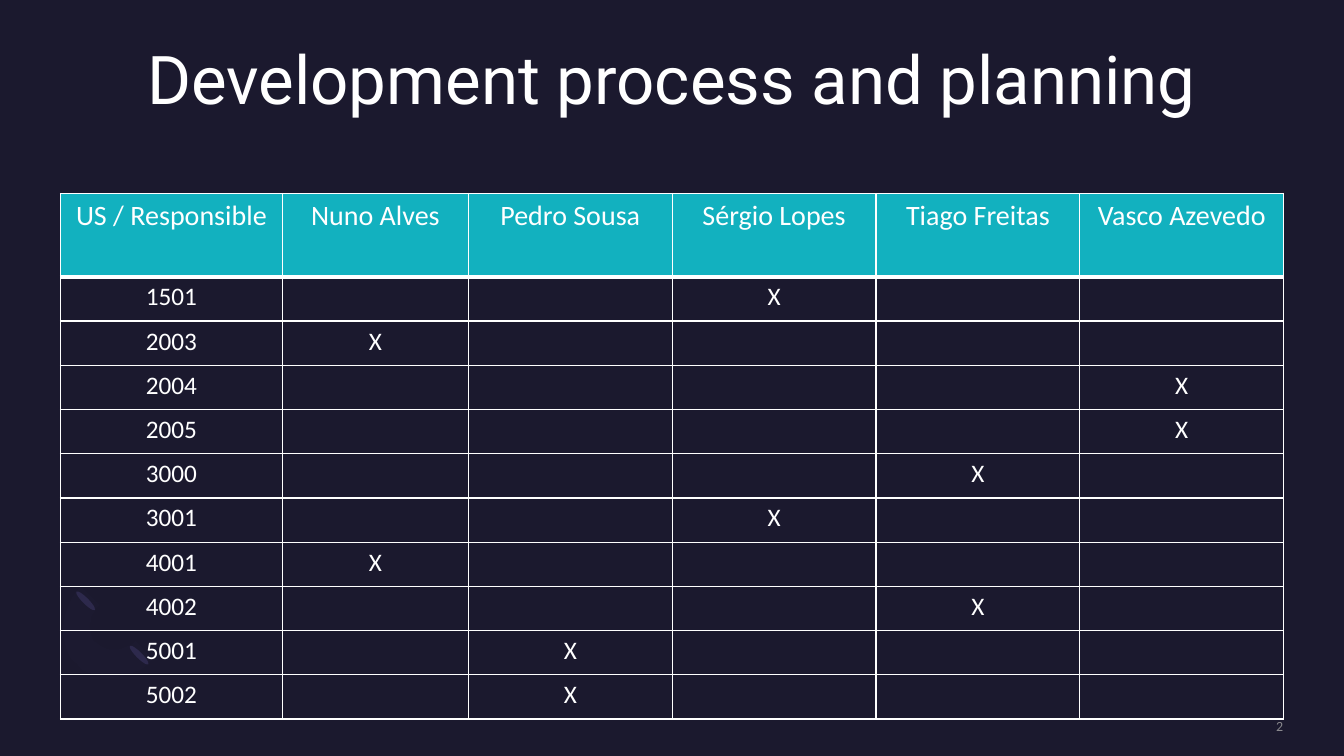
from pptx import Presentation
from pptx.dml.color import RGBColor
from pptx.enum.shapes import MSO_SHAPE as Shape
from pptx.enum.text import MSO_ANCHOR as Anchor, PP_ALIGN as Align
from pptx.oxml.ns import qn
from pptx.util import Pt
from lxml.etree import SubElement

NIGHT = RGBColor(0x1B, 0x19, 0x2E)
INDIGO = RGBColor(0x2C, 0x28, 0x4A)
VIOLET = RGBColor(0x77, 0x71, 0xB2)
TEAL = RGBColor(0x12, 0xB1, 0xBF)
WHITE = RGBColor(0xFF, 0xFF, 0xFF)
GREY = RGBColor(0xA6, 0xA6, 0xA6)

MEMBERS = ["Nuno Alves", "Pedro Sousa", "Sérgio Lopes", "Tiago Freitas", "Vasco Azevedo"]
# User story and the column of the member responsible for it
STORIES = [("1501", 3), ("2003", 1), ("2004", 5), ("2005", 5), ("3000", 4),
           ("3001", 3), ("4001", 1), ("4002", 4), ("5001", 2), ("5002", 2)]
COLUMN_WIDTHS = [158.6, 132.8] + [145.6] * 4
HEADER_HEIGHT, STORY_HEIGHT = 59.6, 31.6

# Ring outline in points: a corner is one point, a curve is three
RING_START = (54.7, 474.5)
RING = [
    [(40.3, 460.1), (41.8, 435.6), (58.3, 419)], [(71.3, 432)],
    [(62.6, 439.9), (61.9, 452.9), (69.1, 459.4)],
    [(76.3, 466.6), (88.6, 465.8), (97.2, 457.9)], [(109.4, 470.9)],
    [(93.6, 486.7), (68.4, 488.9), (54.7, 474.5)],
]


def set_alpha(fill, percent):
    color = next(fill.fore_color._xFill.iter(qn("a:srgbClr")))
    SubElement(color, qn("a:alpha"), val=str(percent * 1000))


def write(frame, text, font, size, color, align):
    para = frame.paragraphs[0]
    para.alignment = align
    span = para.add_run()
    span.text = text
    span.font.name = font
    span.font.size = Pt(size)
    span.font.color.rgb = color
    return para


def add_text(page, left, top, width, height, anchor, *style):
    box = page.shapes.add_textbox(Pt(left), Pt(top), Pt(width), Pt(height))
    frame = box.text_frame
    frame.word_wrap = True
    frame.vertical_anchor = anchor
    frame.margin_left = frame.margin_top = frame.margin_right = frame.margin_bottom = 0
    return write(frame, *style)


def paint(shape, color):
    shape.shadow.inherit = False
    shape.fill.solid()
    shape.fill.fore_color.rgb = color
    shape.line.fill.background()


def add_petal(page, left, top):
    petal = page.shapes.add_shape(Shape.OVAL, Pt(left), Pt(top), Pt(4.3), Pt(18.7))
    petal.rotation = 135
    paint(petal, INDIGO)


def curve_points(start, first, second, end, steps=12):
    for step in range(1, steps + 1):
        t = step / steps
        weights = ((1 - t) ** 3, 3 * t * (1 - t) ** 2, 3 * t * t * (1 - t), t ** 3)
        yield tuple(sum(w * point[axis] for w, point in zip(weights, (start, first, second, end)))
                    for axis in (0, 1))


def add_ring(page):
    outline = [RING_START]
    for part in RING:
        outline += part if len(part) == 1 else list(curve_points(outline[-1], *part))
    builder = page.shapes.build_freeform(*RING_START, scale=Pt(1))
    builder.add_line_segments(outline[1:], close=True)
    ring = builder.convert_to_shape()
    paint(ring, VIOLET)
    set_alpha(ring.fill, 2)


def set_borders(cell, bottom=1, top=1):
    properties = cell._tc.get_or_add_tcPr()
    for index, (side, width) in enumerate([("L", 1), ("R", 1), ("T", top), ("B", bottom)]):
        line = SubElement(properties, qn("a:ln" + side), w=str(Pt(width)))
        fill = SubElement(line, qn("a:solidFill"))
        SubElement(fill, qn("a:srgbClr"), val=str(WHITE))
        properties.insert(index, line)


def add_planning_table(page):
    rows = [["US / Responsible"] + MEMBERS]
    for story, owner in STORIES:
        rows.append([story] + ["X" if c == owner else "" for c in range(1, len(MEMBERS) + 1)])
    height = HEADER_HEIGHT + STORY_HEIGHT * len(STORIES)
    table = page.shapes.add_table(len(rows), len(COLUMN_WIDTHS), Pt(43.2), Pt(138.2),
                                  Pt(sum(COLUMN_WIDTHS)), Pt(height)).table
    table.horz_banding = False
    for column, width in zip(table.columns, COLUMN_WIDTHS):
        column.width = Pt(width)
    for r, values in enumerate(rows):
        header = r == 0
        table.rows[r].height = Pt(HEADER_HEIGHT if header else STORY_HEIGHT)
        for c, value in enumerate(values):
            cell = table.cell(r, c)
            if header:
                cell.fill.solid()
                cell.fill.fore_color.rgb = TEAL
            else:
                cell.fill.background()
            set_borders(cell, bottom=3 if header else 1, top=3 if r == 1 else 1)
            if value:
                write(cell.text_frame, value, "Calibri", 20 if header else 18, WHITE, Align.CENTER)


def main():
    deck = Presentation()
    deck.slide_width, deck.slide_height = Pt(960), Pt(540)
    page = deck.slides.add_slide(deck.slide_layouts[6])
    page.background.fill.solid()
    page.background.fill.fore_color.rgb = NIGHT

    # Corner ornament
    add_petal(page, 97.2, 458.6)
    add_petal(page, 59, 419.8)
    add_ring(page)

    # Title
    title = add_text(page, 43.2, 33.1, 873.4, 105.1, Anchor.TOP,
                     "Development process and planning", "Roboto", 48, WHITE, Align.CENTER)
    title.line_spacing = 0.9

    # Responsibilities
    add_planning_table(page)

    # Page number
    number = add_text(page, 783.4, 512.6, 133.2, 12.2, Anchor.MIDDLE,
                      "2", "Calibri", 10, GREY, Align.RIGHT)
    set_alpha(number.runs[0].font.fill, 80)

    deck.save("out.pptx")


if __name__ == "__main__":
    main()
